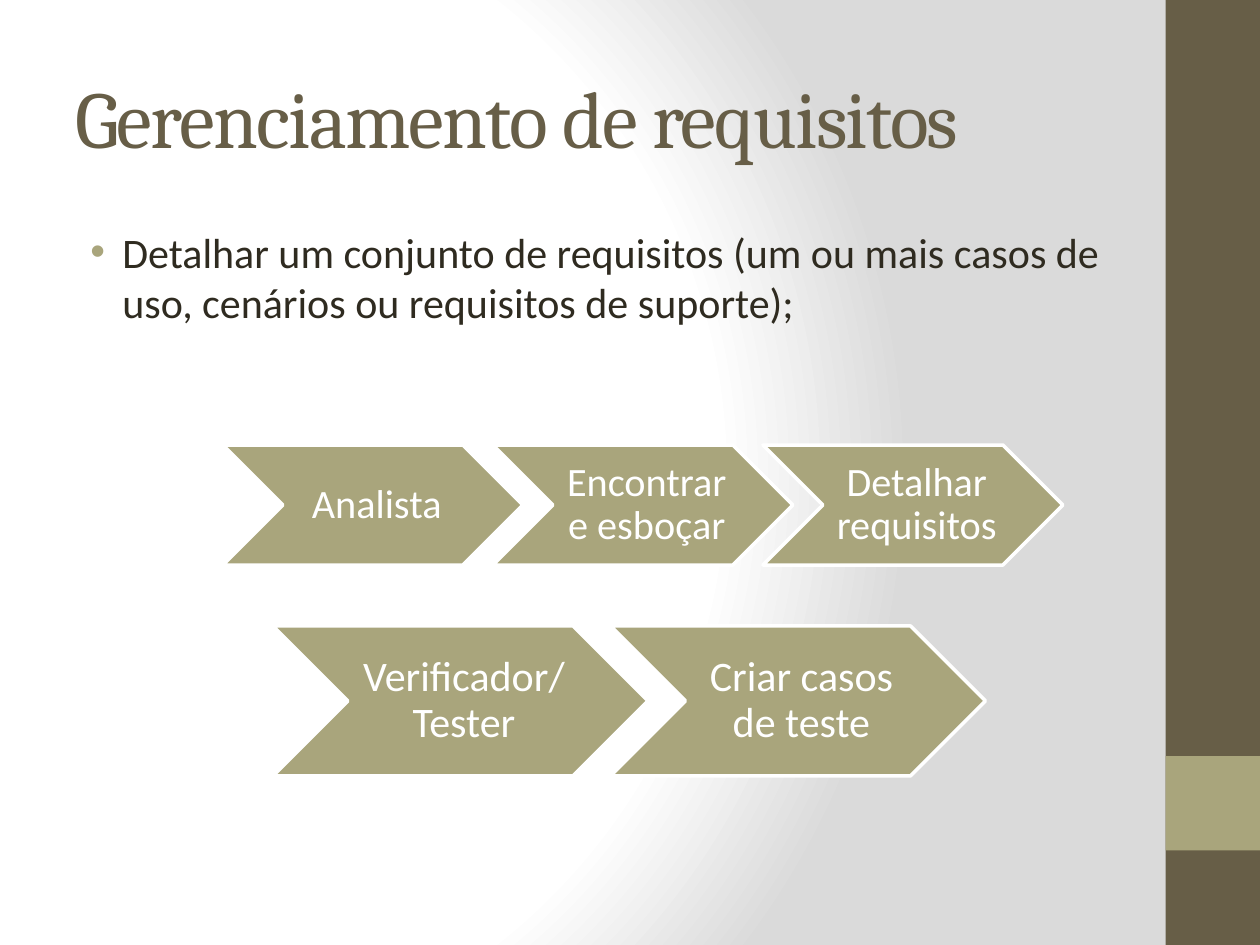
"""Build the requirements management slide with two chevron rows."""
from dataclasses import dataclass

from lxml.etree import SubElement
from pptx import Presentation
from pptx.dml.color import RGBColor
from pptx.enum.shapes import MSO_SHAPE
from pptx.enum.text import MSO_ANCHOR, PP_ALIGN
from pptx.oxml import parse_xml
from pptx.oxml.ns import qn
from pptx.util import Emu, Pt

NS = "http://schemas.openxmlformats.org/drawingml/2006/main"


@dataclass(frozen=True)
class Theme:
    """Colours, fonts and type sizes."""
    dark: str = "675E47"
    sand: str = "A9A57C"
    ink: str = "2F2B20"
    white: str = "FFFFFF"
    grey: str = "DADADA"
    head: str = "Cambria"
    body: str = "Calibri"
    title: int = 46
    text: int = 24
    small: int = 23


@dataclass(frozen=True)
class Row:
    """One row of equal chevrons."""
    left: int
    top: int
    width: int
    size: int
    inset: int
    labels: tuple[str, ...]


THEME = Theme()
ROWS = (
    Row(223, 445, 300, THEME.small, 4,
        ("Analista", "Encontrar e esboçar", "Detalhar requisitos")),
    Row(273, 626, 375, THEME.text, 5,
        ("Verificador/ Tester", "Criar casos de teste")),
)


def px(count: float) -> Emu:
    """Turn pixels into EMU."""
    return Emu(round(count * 914400 / 126))


def box(*sides: float) -> list[Emu]:
    """Turn left, top, width and height into EMU."""
    return [px(side) for side in sides]


def paint(slide) -> None:
    """Fill the background with a round gradient."""
    fill = slide.background.fill
    fill.solid()
    stops = "".join(
        f'<a:gs pos="{pos}"><a:srgbClr val="{tone}"/></a:gs>'
        for pos, tone in ((0, THEME.white), (75000, THEME.white), (100000, THEME.grey)))
    grad = parse_xml(
        f'<a:gradFill xmlns:a="{NS}" rotWithShape="1"><a:gsLst>{stops}</a:gsLst>'
        '<a:path path="circle"><a:fillToRect l="20000" t="50000" r="100000" b="50000"/>'
        '</a:path></a:gradFill>')
    solid = slide.element.find(".//" + qn("p:bgPr")).find(qn("a:solidFill"))
    solid.getparent().replace(solid, grad)


def shape(slide, kind: MSO_SHAPE, area: list[Emu], fill: str, line: str = ""):
    """Draw a preset shape with an optional outline."""
    item = slide.shapes.add_shape(kind, *area)
    item.shadow.inherit = False
    item.fill.solid()
    item.fill.fore_color.rgb = RGBColor.from_string(fill)
    if line:
        item.line.color.rgb = RGBColor.from_string(line)
        item.line.width = Pt(2)
    else:
        item.line.fill.background()
    return item


def write(item, text: str, *, size: int, color: str, font: str = THEME.body,
          align: PP_ALIGN = PP_ALIGN.LEFT, anchor: MSO_ANCHOR = MSO_ANCHOR.MIDDLE,
          inset: tuple[int, int] | None = None, lead: float = 1.0,
          track: int = 0, bullet: str = "") -> None:
    """Put formatted text into a shape."""
    frame = item.text_frame
    frame.word_wrap = True
    frame.vertical_anchor = anchor
    if inset:
        first, rest = inset
        frame.margin_left = px(first)
        frame.margin_top = frame.margin_right = frame.margin_bottom = px(rest)
    para = frame.paragraphs[0]
    para.alignment = align
    para.line_spacing = lead
    run = para.add_run()
    run.text = text
    run.font.size = Pt(size)
    run.font.name = font
    run.font.color.rgb = RGBColor.from_string(color)
    if track:
        run.font._element.set("spc", str(track))
    if bullet:
        para.space_before = Pt(5)
        props = para._p.get_or_add_pPr()
        props.set("marL", str(px(47)))
        props.set("indent", str(px(-32)))
        tone = SubElement(props, qn("a:buClr"))
        SubElement(tone, qn("a:srgbClr")).set("val", bullet)
        SubElement(props, qn("a:buFont")).set("typeface", "Arial")
        SubElement(props, qn("a:buChar")).set("char", "•")


def chain(slide, row: Row) -> None:
    """Draw one row of chevrons."""
    for index, label in enumerate(row.labels):
        left = row.left + index * 0.9 * row.width
        area = box(left, row.top, row.width, 0.4 * row.width)
        item = shape(slide, MSO_SHAPE.CHEVRON, area, THEME.sand, THEME.white)
        write(item, label, size=row.size, color=THEME.white, align=PP_ALIGN.CENTER,
              inset=(12, row.inset), lead=0.9)


def main() -> None:
    """Build and save the slide."""
    deck = Presentation()
    deck.slide_width, deck.slide_height = px(1260), px(945)
    slide = deck.slides.add_slide(deck.slide_layouts[6])
    paint(slide)
    shape(slide, MSO_SHAPE.RECTANGLE, box(1165.5, 0, 94.5, 945), THEME.dark)
    shape(slide, MSO_SHAPE.RECTANGLE, box(1165.5, 756, 94.5, 94.5), THEME.sand)
    title = slide.shapes.add_textbox(*box(63, 38, 1050, 157))
    write(title, "Gerenciamento de requisitos", size=THEME.title,
          color=THEME.dark, font=THEME.head, track=-100)
    body = slide.shapes.add_textbox(*box(63, 220, 1050, 662))
    write(body, "Detalhar um conjunto de requisitos (um ou mais casos de uso, "
          "cenários ou requisitos de suporte);", size=THEME.text, color=THEME.ink,
          anchor=MSO_ANCHOR.TOP, bullet=THEME.sand)
    for row in ROWS:
        chain(slide, row)
    deck.save("out.pptx")


main()
